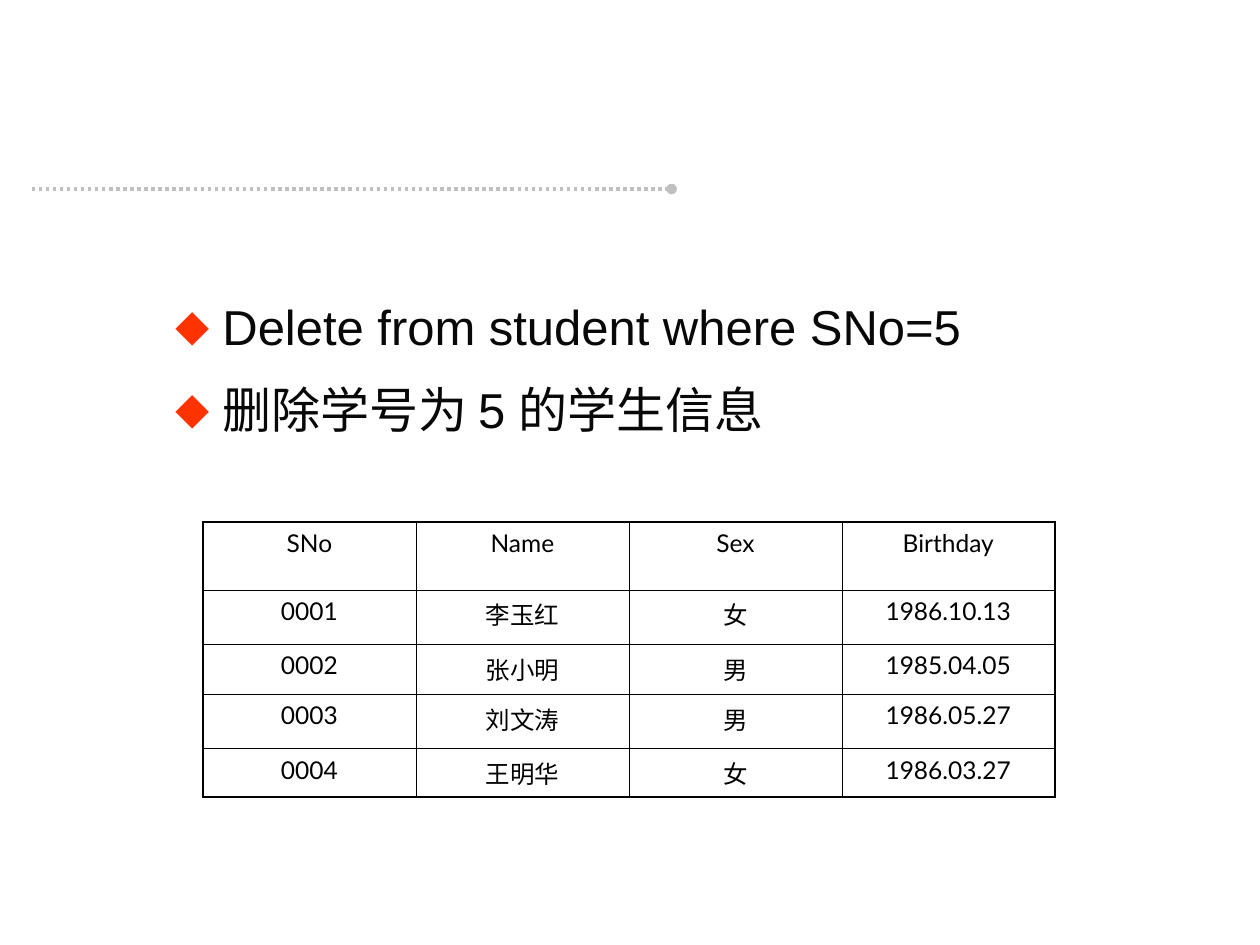
"""Builds a slide about deleting a student record, with a bulleted list and a table."""
from lxml import etree
from pptx import Presentation
from pptx.dml.color import RGBColor
from pptx.enum.dml import MSO_LINE
from pptx.enum.shapes import MSO_CONNECTOR
from pptx.enum.text import MSO_ANCHOR, MSO_AUTO_SIZE, PP_ALIGN
from pptx.oxml import parse_xml
from pptx.oxml.ns import nsdecls, qn
from pptx.util import Pt

STRAIGHT, DOTTED = MSO_CONNECTOR.STRAIGHT, MSO_LINE.ROUND_DOT
TOP, CENTER, NO_FIT = MSO_ANCHOR.TOP, PP_ALIGN.CENTER, MSO_AUTO_SIZE.NONE
GREY = RGBColor(0xC0, 0xC0, 0xC0)
INK = RGBColor(0x08, 0x08, 0x08)
BLACK = RGBColor(0, 0, 0)
RED = RGBColor(0xFF, 0x33, 0x00)

BULLETS = ["Delete from student where SNo=5", "删除学号为 5 的学生信息"]
STUDENTS = [
    ("SNo", "Name", "Sex", "Birthday"),
    ("0001", "李玉红", "女", "1986.10.13"),
    ("0002", "张小明", "男", "1985.04.05"),
    ("0003", "刘文涛", "男", "1986.05.27"),
    ("0004", "王明华", "女", "1986.03.27"),
]
ROW_HEIGHTS = [38.9, 31, 28.8, 31, 24.5]
COL_WIDTH = 121.7
OUTER, INNER = 1.08, 0.45
BODY_FONT = {"name": "Arial", "size": Pt(28)}
CELL_FONT = {"name": "Lato", "size": Pt(14), "bold": False}


def format_font(font, values, color):
    for name, value in values.items():
        setattr(font, name, value)
    font.color.rgb = color


def add_rule(s):
    line = s.shapes.add_connector(STRAIGHT, Pt(18), Pt(108), Pt(383.8), Pt(108))
    line.line.color.rgb = GREY
    line.line.width = Pt(2)
    line.line.dash_style = DOTTED
    etree.SubElement(line.line._get_or_add_ln(), qn("a:tailEnd"), type="oval")
    etree.SubElement(line._element.spPr, qn("a:effectLst"))


def add_bullet(p):
    pPr = p._p.get_or_add_pPr()
    pPr.set("marL", str(Pt(27)))
    pPr.set("indent", str(-Pt(27)))
    color = etree.SubElement(pPr, qn("a:buClr"))
    etree.SubElement(color, qn("a:srgbClr"), val=str(RED))
    etree.SubElement(pPr, qn("a:buFont"), typeface="Arial")
    etree.SubElement(pPr, qn("a:buChar"), char="⬥")


def fill_body(sp):
    sp.left, sp.top, sp.width, sp.height = Pt(92.9), Pt(159.1), Pt(550), Pt(151.2)
    tf = sp.text_frame
    tf.word_wrap, tf.auto_size, tf.vertical_anchor = True, NO_FIT, TOP
    for i, text in enumerate(BULLETS):
        p = tf.add_paragraph() if i else tf.paragraphs[0]
        add_bullet(p)
        p.line_spacing = 1.2
        p.space_before = Pt(7 if i else 0)
        r = p.add_run()
        r.text = text
        format_font(r.font, BODY_FONT, INK)


def set_borders(cell, widths):
    tcPr = cell._tc.get_or_add_tcPr()
    for i, (side, width) in enumerate(zip("LRTB", widths)):
        tcPr.insert(i, parse_xml(
            f'<a:ln{side} {nsdecls("a")} w="{Pt(width)}"><a:solidFill>'
            f'<a:srgbClr val="{BLACK}"/></a:solidFill></a:ln{side}>'))


def add_students(s):
    rows, cols = len(STUDENTS), len(STUDENTS[0])
    table = s.shapes.add_table(rows, cols, Pt(116), Pt(298.2),
                               Pt(COL_WIDTH * cols), Pt(sum(ROW_HEIGHTS))).table
    table.first_row = table.horz_banding = False
    for column in table.columns:
        column.width = Pt(COL_WIDTH)
    for i, (row, height) in enumerate(zip(STUDENTS, ROW_HEIGHTS)):
        table.rows[i].height = Pt(height)
        for j, text in enumerate(row):
            cell = table.cell(i, j)
            cell.fill.background()
            edges = (j == 0, j == cols - 1, i == 0, i == rows - 1)
            set_borders(cell, [OUTER if edge else INNER for edge in edges])
            p = cell.text_frame.paragraphs[0]
            p.alignment = CENTER
            r = p.add_run()
            r.text = text
            format_font(r.font, CELL_FONT, BLACK)


def main():
    prs = Presentation()
    prs.slide_width, prs.slide_height = Pt(720), Pt(540)
    s = prs.slides.add_slide(prs.slide_layouts[1])
    title = s.shapes.title._element
    title.getparent().remove(title)
    add_rule(s)
    fill_body(s.placeholders[1])
    add_students(s)
    prs.save("out.pptx")


if __name__ == "__main__":
    main()
